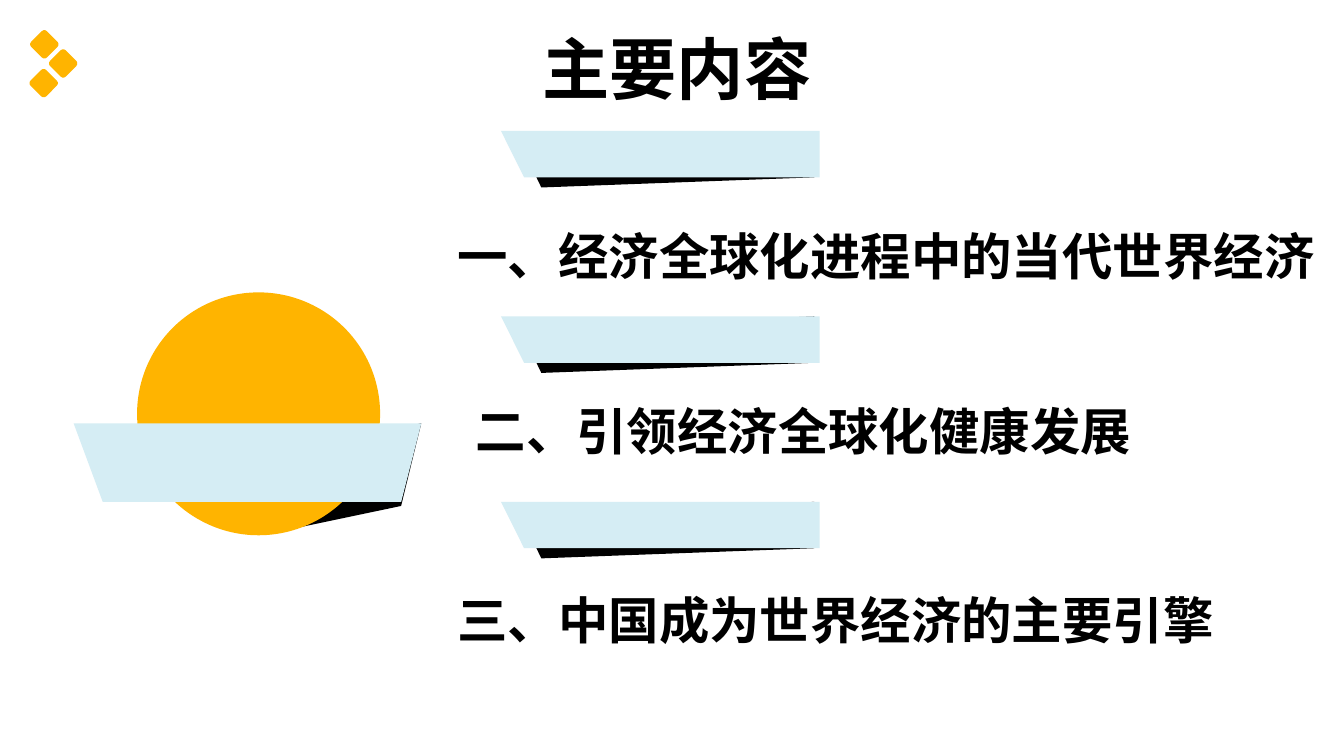
from typing import NamedTuple

from lxml.etree import SubElement
from pptx import Presentation
from pptx.dml.color import RGBColor
from pptx.enum.shapes import MSO_SHAPE
from pptx.enum.text import MSO_ANCHOR, MSO_AUTO_SIZE, PP_ALIGN
from pptx.oxml.ns import qn
from pptx.util import Inches, Pt

ORANGE, PALE_BLUE, BLACK = "FFB400", "D5EDF4", "000000"
FONT = "Roboto"
WIDTH, HEIGHT = Inches(13.33), Inches(7.5)


class Point(NamedTuple):
    """A position in percent of the slide's width and height."""
    x: float
    y: float


class Box(NamedTuple):
    """A frame in percent of the slide's width and height."""
    left: float
    top: float
    width: float
    height: float


class Heading(NamedTuple):
    text: str
    box: Box


DIAMOND_CENTRES = [Point(3.3, 5.87), Point(4.7, 8.4), Point(3.25, 11)]
DIAMOND_SIDE = Point(1.65, 2.93)

SUN = Box(10.2, 38.67, 18.08, 32.13)
SUN_SHADOW = [Point(20.25, 60), Point(31.35, 56), Point(29.85, 66.93), Point(22.35, 69.73)]
SUN_BAND = [Point(5.48, 56), Point(31.35, 56), Point(29.85, 66.4), Point(7.65, 66.4)]

# Banner outlines are measured from the banner's top edge
BANNER_SHADOW = [Point(38.63, 1.4), Point(60.6, 0), Point(60.6, 6.13), Point(40.28, 7.47)]
BANNER = [Point(37.28, 0), Point(60.98, 0), Point(60.98, 6.13), Point(39, 6.13)]
BANNER_TOP, BANNER_STEP = 17.33, 24.53

TITLE = Heading("主要内容", Box(6.38, -4.53, 87.98, 19.47))
HEADINGS = [
    Heading("一、经济全球化进程中的当代世界经济", Box(33.3, 29.07, 65.85, 9.47)),
    Heading("二、引领经济全球化健康发展", Box(34.65, 52.27, 50.78, 9.47)),
    Heading("三、中国成为世界经济的主要引擎", Box(33.3, 77.33, 58.35, 9.47)),
]


def colour(value: str) -> RGBColor:
    return RGBColor.from_string(value)


def across(share: float) -> int:
    return round(WIDTH * share / 100)


def down(share: float) -> int:
    return round(HEIGHT * share / 100)


def frame(box: Box) -> tuple[int, int, int, int]:
    return across(box.left), down(box.top), across(box.width), down(box.height)


def paint(shape, fill: str) -> None:
    shape.shadow.inherit = False
    shape.fill.solid()
    shape.fill.fore_color.rgb = colour(fill)
    shape.line.fill.background()


def add_preset(slide, kind: MSO_SHAPE, box: Box, fill: str):
    shape = slide.shapes.add_shape(kind, *frame(box))
    paint(shape, fill)
    return shape


def add_outline(slide, points: list[Point], fill: str, top: float = 0) -> None:
    corners = [(across(point.x), down(point.y + top)) for point in points]
    builder = slide.shapes.build_freeform(*corners[0], scale=1.0)
    builder.add_line_segments(corners[1:], close=True)
    paint(builder.convert_to_shape(), fill)


def write(text_frame, text: str, size: int) -> None:
    text_frame.text = text
    font = text_frame.paragraphs[0].runs[0].font
    font.name, font.size, font.bold = FONT, Pt(size), True
    font.color.rgb = colour(BLACK)
    run_properties = text_frame.paragraphs[0].runs[0]._r.get_or_add_rPr()
    SubElement(run_properties, qn("a:ea")).set("typeface", FONT)


def add_title(slide, heading: Heading) -> None:
    title = slide.shapes.title
    title.left, title.top, title.width, title.height = frame(heading.box)
    write(title.text_frame, heading.text, 48)
    title.text_frame.vertical_anchor = MSO_ANCHOR.BOTTOM
    title.text_frame.paragraphs[0].alignment = PP_ALIGN.CENTER


def add_heading(slide, heading: Heading) -> None:
    text_frame = slide.shapes.add_textbox(*frame(heading.box)).text_frame
    text_frame.word_wrap = False
    text_frame.auto_size = MSO_AUTO_SIZE.SHAPE_TO_FIT_TEXT
    write(text_frame, heading.text, 36)


def main() -> None:
    presentation = Presentation()
    presentation.slide_width, presentation.slide_height = WIDTH, HEIGHT
    slide = presentation.slides.add_slide(presentation.slide_layouts[5])

    # Corner ornament
    for centre in DIAMOND_CENTRES:
        box = Box(centre.x - DIAMOND_SIDE.x / 2, centre.y - DIAMOND_SIDE.y / 2, *DIAMOND_SIDE)
        diamond = add_preset(slide, MSO_SHAPE.ROUNDED_RECTANGLE, box, ORANGE)
        diamond.adjustments[0] = 0.16
        diamond.rotation = 45

    # Sun with its band
    add_outline(slide, SUN_SHADOW, BLACK)
    add_preset(slide, MSO_SHAPE.OVAL, SUN, ORANGE)
    add_outline(slide, SUN_BAND, PALE_BLUE)

    # Banners and section headings
    for index in range(len(HEADINGS)):
        top = BANNER_TOP + index * BANNER_STEP
        add_outline(slide, BANNER_SHADOW, BLACK, top)
        add_outline(slide, BANNER, PALE_BLUE, top)

    add_title(slide, TITLE)
    for heading in HEADINGS:
        add_heading(slide, heading)

    presentation.save("out.pptx")


if __name__ == "__main__":
    main()
